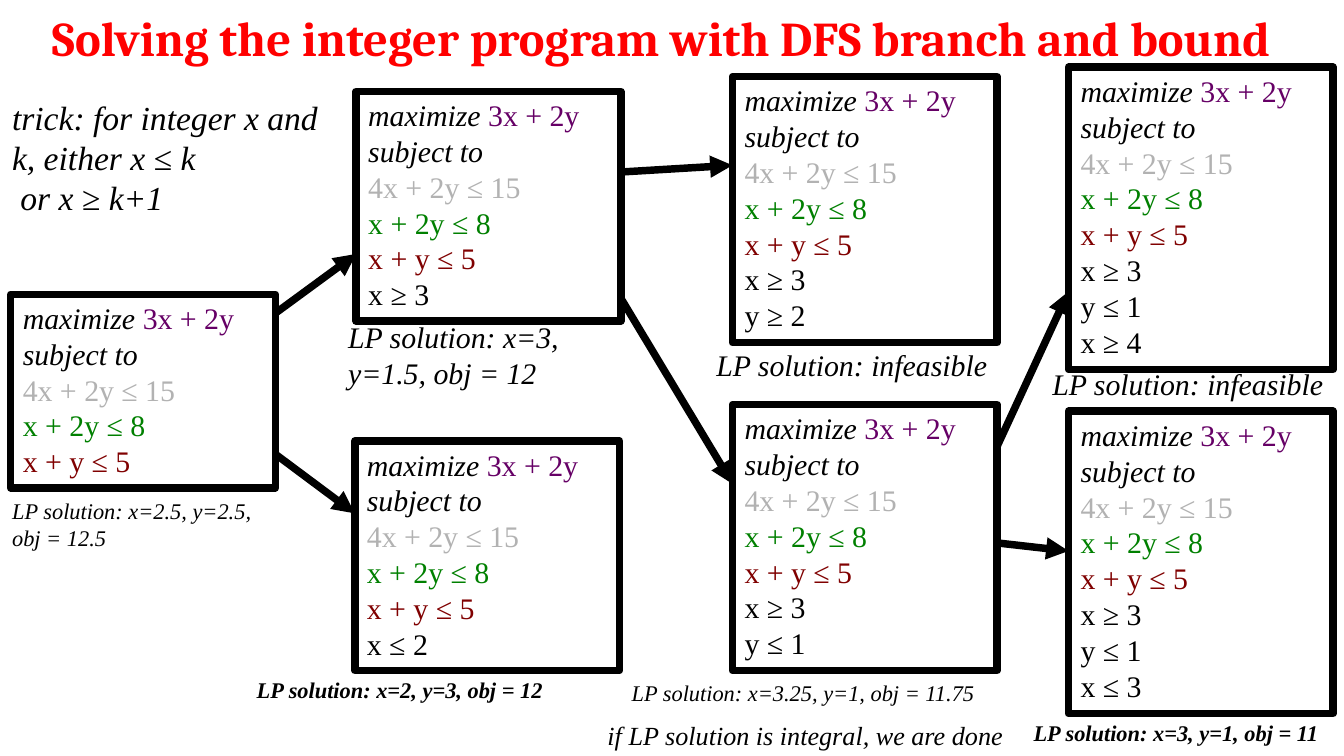
from dataclasses import dataclass

from lxml import etree
from pptx import Presentation
from pptx.dml.color import RGBColor
from pptx.enum import shapes, text
from pptx.oxml.ns import qn
from pptx.util import Inches, Pt


@dataclass(frozen=True)
class Theme:
    title_font: str = "Cambria"
    body_font: str = "Times New Roman"
    title: str = "FF0000"
    ink: str = "000000"
    objective: str = "660066"
    first: str = "B2B2B2"
    second: str = "008000"
    third: str = "800000"
    title_size: int = 26
    trick_size: int = 18
    body_size: int = 16
    remark_size: int = 14
    small_size: int = 12
    line: int = 4


@dataclass(frozen=True)
class Node:
    left: float
    top: float
    bounds: tuple
    solution: str
    dx: float
    gap: float
    caption_width: float
    size: int
    bold: bool = False

    @property
    def box(self):
        rows = len(PROGRAM) + len(self.bounds)
        return self.left, self.top, NODE_WIDTH, 0.09 + 0.27 * rows


T = Theme()
NODE_WIDTH = 1.97
PROGRAM = (
    (("maximize ", T.ink, True), ("3x + 2y", T.objective, False)),
    (("subject to", T.ink, True),),
    (("4x + 2y ≤ 15", T.first, False),),
    (("x + 2y ≤ 8", T.second, False),),
    (("x + y ≤ 5", T.third, False),),
)
NODES = {
    "root": Node(0.08, 2.19, (), "LP solution: x=2.5, y=2.5, obj = 12.5",
                 -0.08, 0.03, 2.21, T.small_size),
    "x_ge_3": Node(2.65, 0.68, ("x ≥ 3",), "LP solution: x=3, y=1.5, obj = 12",
                   -0.15, -0.06, 2.11, T.body_size),
    "x_le_2": Node(2.64, 3.28, ("x ≤ 2",), "LP solution: x=2, y=3, obj = 12",
                   -0.82, 0, 2.73, T.small_size, True),
    "y_ge_2": Node(5.45, 0.57, ("x ≥ 3", "y ≥ 2"), "LP solution: infeasible",
                   -0.21, -0.01, 2.44, T.body_size),
    "y_le_1": Node(5.45, 3.01, ("x ≥ 3", "y ≤ 1"), "LP solution: x=3.25, y=1, obj = 11.75",
                   -0.84, 0.02, 3.07, T.small_size),
    "x_ge_4": Node(7.95, 0.5, ("x ≥ 3", "y ≤ 1", "x ≥ 4"), "LP solution: infeasible",
                   -0.21, -0.07, 2.26, T.body_size),
    "x_le_3": Node(7.95, 3.06, ("x ≥ 3", "y ≤ 1", "x ≤ 3"), "LP solution: x=3, y=1, obj = 11",
                   -0.35, 0, 2.4, T.small_size, True),
}
BRANCHES = (
    ("root", "x_ge_3", 2.33, 1.89),
    ("root", "x_le_2", 3.38, 3.82),
    ("x_ge_3", "y_le_1", 2.22, 3.6),
    ("x_ge_3", "y_ge_2", 1.28, 1.23),
    ("y_le_1", "x_ge_4", 3.32, 2.17),
    ("y_le_1", "x_le_3", 4.04, 4.1),
)


def add_run(p, words, size=T.body_size, font=T.body_font, color=T.ink, bold=False, italic=True):
    r = p.add_run()
    r.text = words
    r.font.size = Pt(size)
    r.font.name = font
    r.font.color.rgb = RGBColor.from_string(color)
    r.font.bold = bold
    r.font.italic = italic


def prepare_frame(sp, wrap=True):
    tf = sp.text_frame
    tf.word_wrap = wrap
    tf.auto_size = text.MSO_AUTO_SIZE.SHAPE_TO_FIT_TEXT
    tf.vertical_anchor = text.MSO_ANCHOR.TOP
    tf.margin_left = tf.margin_right = Inches(0.09)
    tf.margin_top = tf.margin_bottom = Inches(0.04)
    return tf


def add_text(s, box, *lines, align=text.PP_ALIGN.LEFT, wrap=True, **style):
    tf = prepare_frame(s.shapes.add_textbox(*map(Inches, box)), wrap)
    for i, line in enumerate(lines):
        p = tf.add_paragraph() if i else tf.paragraphs[0]
        p.alignment = align
        add_run(p, line, **style)


def add_node(s, node):
    left, top, width, height = node.box
    sp = s.shapes.add_shape(shapes.MSO_SHAPE.RECTANGLE, *map(Inches, node.box))
    sp.shadow.inherit = False
    sp.fill.background()
    sp.line.color.rgb = RGBColor.from_string(T.ink)
    sp.line.width = Pt(T.line)
    tf = prepare_frame(sp)
    rows = PROGRAM + tuple(((bound, T.ink, False),) for bound in node.bounds)
    for i, row in enumerate(rows):
        p = tf.add_paragraph() if i else tf.paragraphs[0]
        p.alignment = text.PP_ALIGN.LEFT
        for words, color, italic in row:
            add_run(p, words, color=color, italic=italic)
    caption = (left + node.dx, top + height + node.gap, node.caption_width, 0.3)
    add_text(s, caption, node.solution, size=node.size, bold=node.bold)


def add_branch(s, parent, child, start, end):
    ends = (parent.left + NODE_WIDTH, start, child.left, end)
    c = s.shapes.add_connector(shapes.MSO_CONNECTOR.STRAIGHT, *map(Inches, ends))
    c.line.color.rgb = RGBColor.from_string(T.ink)
    c.line.width = Pt(T.line)
    sp_pr = c._element.spPr
    etree.SubElement(sp_pr.find(qn("a:ln")), qn("a:tailEnd"), type="triangle")
    etree.SubElement(sp_pr, qn("a:effectLst"))


def add_tree(s):
    for node in NODES.values():
        add_node(s, node)
    for parent, child, start, end in BRANCHES:
        add_branch(s, NODES[parent], NODES[child], start, end)


def main():
    prs = Presentation()
    prs.slide_width = Inches(10)
    prs.slide_height = prs.slide_width * 9 // 16
    s = prs.slides.add_slide(prs.slide_layouts[6])
    add_text(s, (-0.15, 0.02, 10.15, 0.5), "Solving the integer program with DFS branch and bound",
             align=text.PP_ALIGN.CENTER, size=T.title_size, font=T.title_font,
             color=T.title, bold=True, italic=False)
    add_tree(s)
    add_text(s, (0, 0.68, 2.5, 1), "trick: for integer x and k, either x ≤ k", " or x ≥ k+1",
             size=T.trick_size)
    add_text(s, (4.43, 5.31, 3.15, 0.33), "if LP solution is integral, we are done",
             wrap=False, size=T.remark_size)
    prs.save("out.pptx")


if __name__ == "__main__":
    main()
